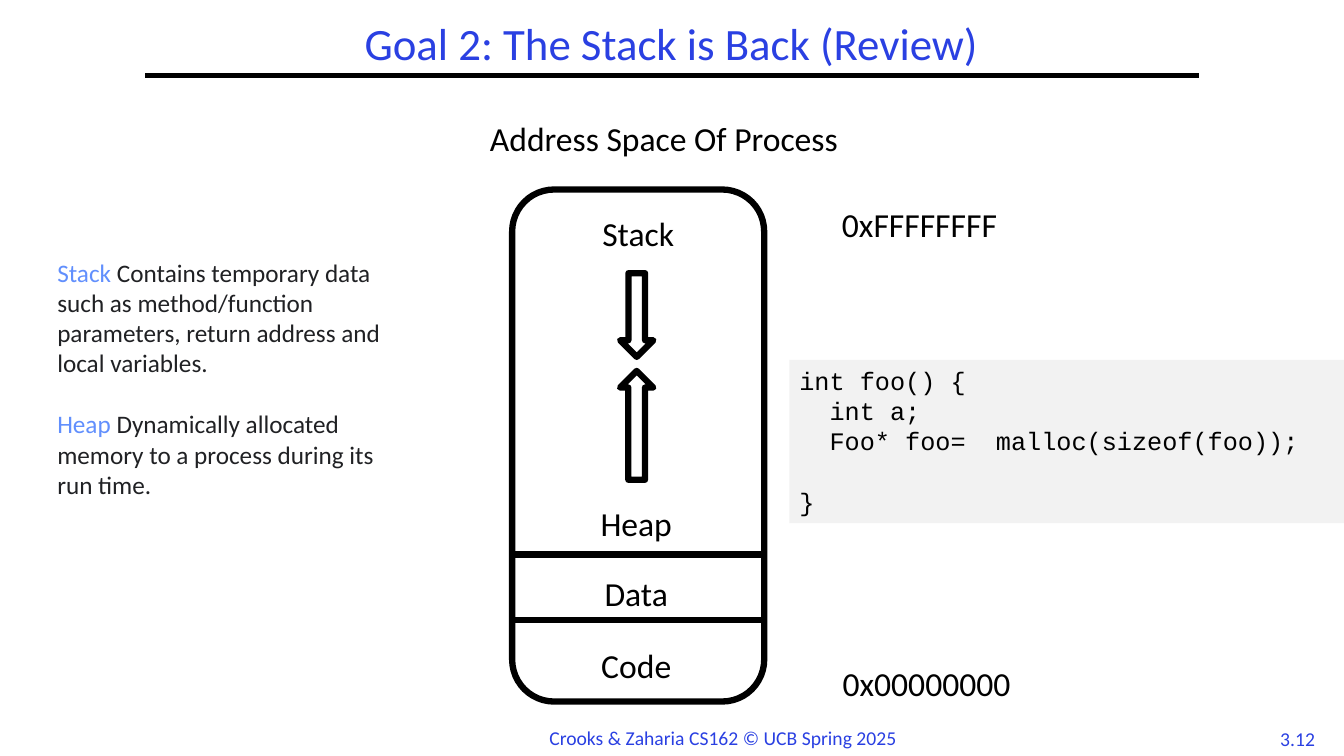
from lxml import etree
from pptx import Presentation
from pptx.dml.color import RGBColor
from pptx.enum.shapes import MSO_CONNECTOR, MSO_SHAPE
from pptx.enum.text import MSO_ANCHOR, PP_ALIGN
from pptx.oxml.ns import qn
from pptx.util import Inches, Pt

LEFT, CENTER = PP_ALIGN.LEFT, PP_ALIGN.CENTER
TOP, MIDDLE = MSO_ANCHOR.TOP, MSO_ANCHOR.MIDDLE
ROUNDED, RECTANGLE, UP_ARROW = (
    MSO_SHAPE.ROUNDED_RECTANGLE, MSO_SHAPE.RECTANGLE, MSO_SHAPE.UP_ARROW)
STRAIGHT = MSO_CONNECTOR.STRAIGHT

BLACK, WHITE, BLUE = "000000", "FFFFFF", "2A40E2"
TERM, BODY, CODE_FILL = "618FFD", "202124", "F2F2F2"
CODE_LINE = Pt(21.7)


def color(value):
    """Turn a hex string into a colour."""
    return RGBColor.from_string(value)


def add_run(paragraph, text, size, tint, font="Calibri"):
    """Append one formatted run."""
    run = paragraph.add_run()
    run.text = text
    run.font.size = Pt(size)
    run.font.name = font
    run.font.color.rgb = color(tint)


def add_text(slide, box, size, paragraphs, align=LEFT, anchor=TOP,
             wrap=True, line_spacing=None, gap=0):
    """Add a text box from paragraphs given as lists of (text, colour)."""
    frame = slide.shapes.add_textbox(*map(Inches, box)).text_frame
    frame.word_wrap = wrap
    frame.vertical_anchor = anchor
    for index, runs in enumerate(paragraphs):
        paragraph = frame.add_paragraph() if index else frame.paragraphs[0]
        paragraph.alignment = align
        paragraph.line_spacing = line_spacing
        if index:
            paragraph.space_before = Pt(gap)
        for text, tint in runs:
            add_run(paragraph, text, size, tint)


def add_label(slide, box, text, size=24, tint=BLACK, anchor=TOP):
    """Add a centred one-line label."""
    add_text(slide, box, size, [[(text, tint)]], CENTER, anchor,
             line_spacing=0.9)


def add_block(slide, kind, box, fill, outlined=True):
    """Add a filled preset shape with an optional heavy outline."""
    shape = slide.shapes.add_shape(kind, *map(Inches, box))
    shape.shadow.inherit = False
    shape.fill.solid()
    shape.fill.fore_color.rgb = color(fill)
    if outlined:
        shape.line.color.rgb = color(BLACK)
        shape.line.width = Pt(4.5)
    else:
        shape.line.fill.background()
    return shape


def add_rule(slide, left, right, y, width):
    """Add a horizontal black line."""
    line = slide.shapes.add_connector(
        STRAIGHT, *map(Inches, (left, y, right, y)))
    line.line.color.rgb = color(BLACK)
    line.line.width = Pt(width)
    etree.SubElement(line._element.spPr, qn("a:effectLst"))


def add_code(slide, box, lines):
    """Add a shaded code block; each line is (text, space before)."""
    frame = add_block(slide, RECTANGLE, box, CODE_FILL, False).text_frame
    frame.word_wrap = True
    frame.vertical_anchor = TOP
    for index, (text, space) in enumerate(lines):
        paragraph = frame.add_paragraph() if index else frame.paragraphs[0]
        paragraph.alignment = LEFT
        paragraph.line_spacing = CODE_LINE
        if space:
            paragraph.space_before = space
        add_run(paragraph, text, 18, BLACK, "Courier New")


def add_address_space(slide):
    """Draw the process memory column with its segments and addresses."""
    add_block(slide, ROUNDED, (5.08, 1.88, 2.5, 5.08), WHITE)
    for text, left, top in (("Stack", 4.12, 2.11), ("Heap", 4.1, 4.99),
                            ("Data", 4.1, 5.68), ("Code", 4.1, 6.39)):
        add_label(slide, (left, top, 4.42, 1.17), text)
    for y in (5.5, 6.15):
        add_rule(slide, 5.06, 7.56, y, 4.5)
    for top, height, rotation in ((3.68, 1.08, 0), (2.71, 0.83, 180)):
        arrow = add_block(slide, UP_ARROW, (6.15, top, 0.33, height), WHITE)
        arrow.rotation = rotation
    add_label(slide, (6.41, 2.02, 5.42, 0.86), "0xFFFFFFFF")
    add_label(slide, (6.48, 6.57, 5.42, 0.86), "0x00000000")


def main():
    """Build and save the slide."""
    presentation = Presentation()
    presentation.slide_width = Inches(13.33)
    presentation.slide_height = Inches(7.5)
    slide = presentation.slides.add_slide(presentation.slide_layouts[6])

    add_text(slide, (12.58, 7.16, 0.58, 0.33), 14, [[("3.12", BLUE)]],
             CENTER, wrap=False)
    add_rule(slide, 1.44, 11.89, 0.75, 3)
    add_text(slide, (5.35, 7.15, 3.67, 0.34), 14,
             [[("Crooks & Zaharia CS162 © UCB Spring 2025", BLUE)]],
             wrap=False)
    add_label(slide, (1.44, 0.17, 10.44, 0.58),
              "Goal 2: The Stack is Back (Review)", 32, BLUE, MIDDLE)
    add_label(slide, (0.17, 1.17, 12.83, 0.5), "Address Space Of Process")
    add_address_space(slide)
    add_text(slide, (0.47, 2.5, 3.7, 3.43), 18, [
        [("Stack ", TERM),
         ("Contains temporary data such as method/function parameters, "
          "return address and local variables.", BODY)],
        [("Heap", TERM),
         (" Dynamically allocated memory to a process during its run time.",
          BODY)],
    ], gap=22)
    add_code(slide, (7.83, 3.57, 5.5, 1.62), [
        ("int foo() {", None),
        ("  int a;", None),
        ("  Foo* foo=  malloc(sizeof(foo));", None),
        ("}", CODE_LINE),
    ])
    presentation.save("out.pptx")


if __name__ == "__main__":
    main()
